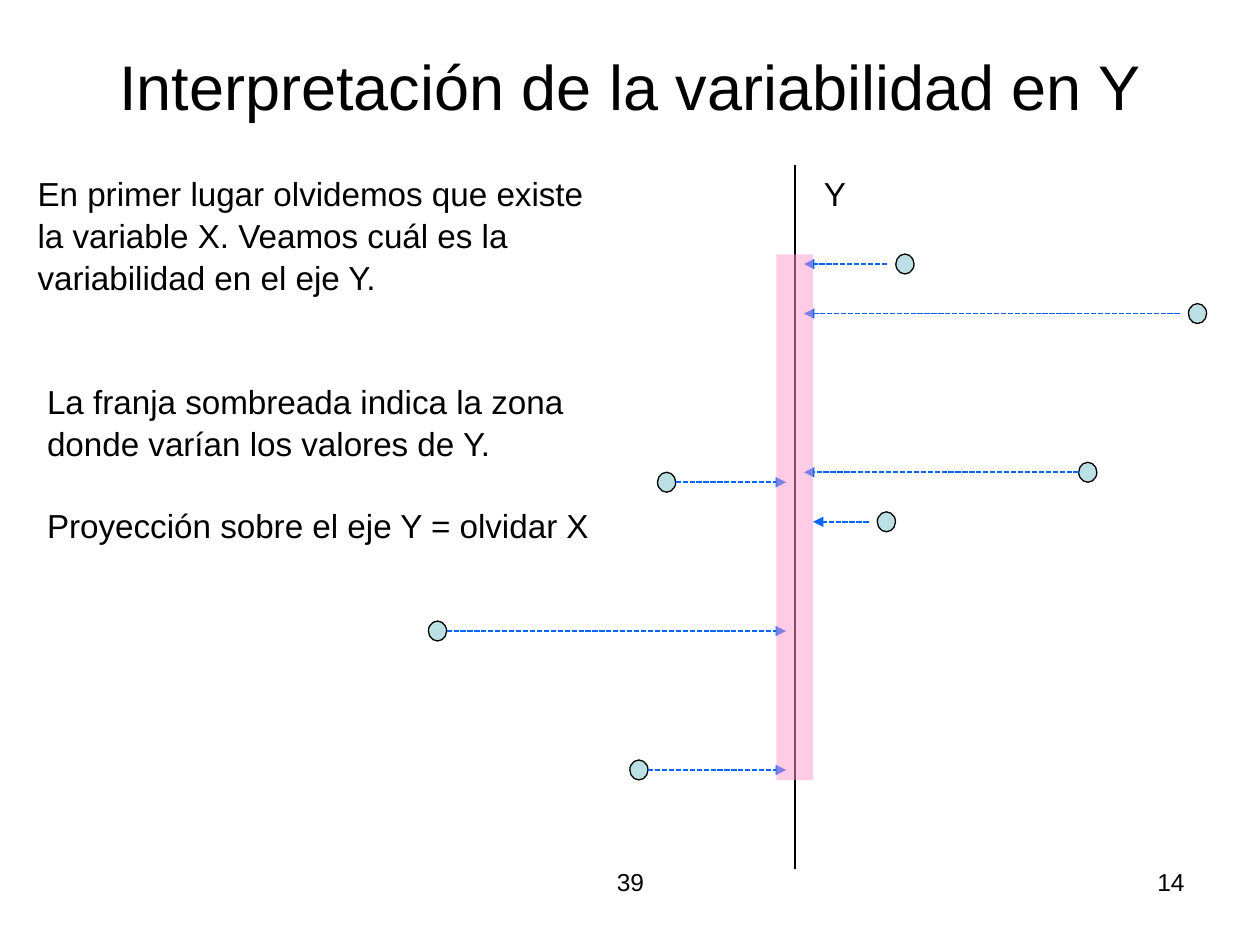
from lxml import etree
from pptx import Presentation
from pptx.dml.color import RGBColor
from pptx.enum import dml, shapes, text
from pptx.oxml.ns import qn
from pptx.util import Pt

COLORS = {"ink": "000000", "point": "BBE0E3", "arrow": "0066FF", "band": "FF99CC"}
ALIGN = text.PP_ALIGN


def write(shape, lines, size, **formats):
    """Fill a shape's paragraphs and set their format."""
    frame = shape.text_frame
    frame.text = "\n".join(lines)
    for paragraph in frame.paragraphs:
        for name, value in formats.items():
            setattr(paragraph, name, value)
        paragraph.font.name = "Arial"
        paragraph.font.size = Pt(size)
        paragraph.font.color.rgb = RGBColor.from_string(COLORS["ink"])
    return frame


def draw_line(slide, start, end, color, width):
    """Draw a straight line without shadow."""
    line = slide.shapes.add_connector(
        shapes.MSO_CONNECTOR.STRAIGHT, *(Pt(value) for value in start + end))
    line.line.color.rgb = RGBColor.from_string(COLORS[color])
    line.line.width = Pt(width)
    etree.SubElement(line._element.spPr, qn("a:effectLst"))
    return line


presentation = Presentation()
presentation.slide_width, presentation.slide_height = Pt(720), Pt(540)
slide = presentation.slides.add_slide(presentation.slide_layouts[5])

# Title
title = slide.shapes.title
title.left, title.top, title.width, title.height = Pt(36), Pt(21.6), Pt(648), Pt(54.7)
write(title, ["Interpretación de la variabilidad en Y"], 36, alignment=ALIGN.CENTER)
title.text_frame.vertical_anchor = text.MSO_ANCHOR.MIDDLE

# Data points: centre x, centre y, gap before the arrow, arrow end
POINT_WIDTH, POINT_HEIGHT = 10.4, 11.4
LEFT_END, RIGHT_END, BAND_EDGE = 449.2, 459.4, 464.6
points = [
    (250, 360.6, 0, LEFT_END),
    (380.9, 275.6, 0, LEFT_END),
    (365.1, 440, 0, LEFT_END),
    (506.5, 298.2, 5, BAND_EDGE),
    (517.1, 150.9, 5, RIGHT_END),
    (621.6, 269.9, 0, RIGHT_END),
    (684.3, 179.2, 5, RIGHT_END),
]
for x, y, gap, end in points:
    point = slide.shapes.add_shape(
        shapes.MSO_SHAPE.OVAL, Pt(x - POINT_WIDTH / 2), Pt(y - POINT_HEIGHT / 2),
        Pt(POINT_WIDTH), Pt(POINT_HEIGHT))
    point.shadow.inherit = False
    point.fill.solid()
    point.fill.fore_color.rgb = RGBColor.from_string(COLORS["point"])
    point.line.color.rgb = RGBColor.from_string(COLORS["ink"])
    point.line.width = Pt(0.75)

# Y axis
draw_line(slide, (454.3, 496.8), (454.3, 94.3), "ink", 0.75)

# Projections onto the axis
for x, y, gap, end in points:
    direction = 1 if end > x else -1
    start = x + direction * (POINT_WIDTH / 2 + gap)
    arrow = draw_line(slide, (start, y), (end, y), "arrow", 1)
    arrow.line.dash_style = dml.MSO_LINE.SQUARE_DOT
    etree.SubElement(arrow.line._get_or_add_ln(), qn("a:tailEnd"), type="triangle")

# Shaded band of Y values
band = slide.shapes.add_shape(
    shapes.MSO_SHAPE.RECTANGLE, Pt(443.7), Pt(145.3), Pt(20.9), Pt(300.4))
band.shadow.inherit = False
band.fill.solid()
band.fill.fore_color.rgb = RGBColor.from_string(COLORS["band"])
band.line.fill.background()
band_color = band._element.spPr.find(qn("a:solidFill"))[0]
etree.SubElement(band_color, qn("a:alpha"), val="50000")

# Texts: left, top, width, height, lines, size, alignment, line spacing
texts = [
    (463.7, 94.3, 26.6, 30.2, ["Y"], 19, ALIGN.LEFT, 1.05),
    (14.4, 94.3, 345.6, 98.6,
     ["En primer lugar olvidemos que existe la variable X. "
      "Veamos cuál es la variabilidad en el eje Y."], 19, ALIGN.LEFT, 1.05),
    (19.8, 213.1, 345.6, 121.7,
     ["La franja sombreada indica la zona donde varían los valores de Y.",
      "Proyección sobre el eje Y = olvidar X"], 19, ALIGN.LEFT, 1.05),
    (246.2, 491.8, 228.2, 37.4, ["39"], 14, ALIGN.CENTER, 1),
    (516.2, 491.8, 167.8, 37.4, ["14"], 14, ALIGN.RIGHT, 1),
]
for left, top, width, height, lines, size, alignment, spacing in texts:
    box = slide.shapes.add_textbox(Pt(left), Pt(top), Pt(width), Pt(height))
    frame = write(box, lines, size, alignment=alignment, line_spacing=spacing)
    frame.word_wrap = lines != ["Y"]
    for paragraph in frame.paragraphs[1:]:
        paragraph.space_before = Pt(22.9)

presentation.save("out.pptx")
